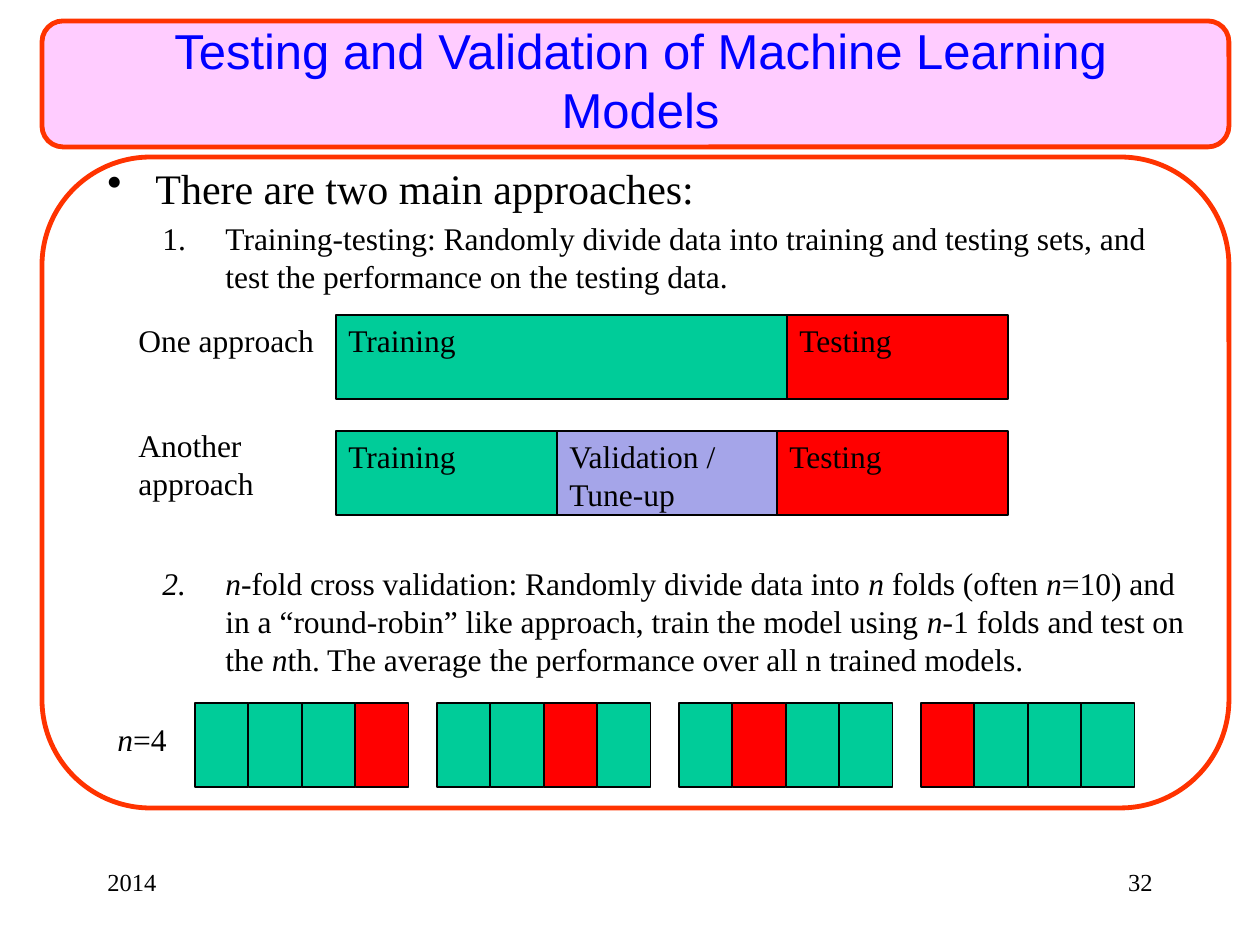
import pptx
import pptx.dml.color
import pptx.enum.shapes
import pptx.enum.text
import pptx.oxml
import pptx.oxml.ns
import pptx.util

RGBColor = pptx.dml.color.RGBColor
BLACK = RGBColor(0, 0, 0)
BLUE = RGBColor(0, 0, 255)
PINK = RGBColor(255, 204, 255)
ORANGE = RGBColor(255, 51, 0)
GREEN = RGBColor(0, 204, 153)
LAVENDER = RGBColor(165, 165, 233)
RED = RGBColor(255, 0, 0)

SHAPE_TYPE = pptx.enum.shapes.MSO_SHAPE
ALIGN = pptx.enum.text.PP_ALIGN
ANCHOR = pptx.enum.text.MSO_ANCHOR
SERIF = "Times New Roman"
EMU_PER_PX = 914400 / 126

presentation = pptx.Presentation()
presentation.slide_width = round(1260 * EMU_PER_PX)
presentation.slide_height = round(945 * EMU_PER_PX)
slide = presentation.slides.add_slide(presentation.slide_layouts[6])


def add_box(box, kind, fill=None, line=BLACK, weight=0.75):
    shape = slide.shapes.add_shape(kind, *[round(v * EMU_PER_PX) for v in box])
    shape.shadow.inherit = False
    if fill is None:
        shape.fill.background()
    else:
        shape.fill.solid()
        shape.fill.fore_color.rgb = fill
    shape.line.color.rgb = line
    shape.line.width = pptx.util.Pt(weight)
    return shape


def add_text(text, box=None, shape=None, size=18, font=SERIF, color=BLACK,
             align=ALIGN.LEFT, anchor=ANCHOR.TOP):
    if shape is None:
        shape = slide.shapes.add_textbox(*[round(v * EMU_PER_PX) for v in box])
    text_frame = shape.text_frame
    text_frame.word_wrap = True
    text_frame.vertical_anchor = anchor
    text_frame.text = text
    paragraph = text_frame.paragraphs[0]
    paragraph.alignment = align
    for run in paragraph.runs:
        run.font.size = pptx.util.Pt(size)
        run.font.name = font
        run.font.color.rgb = color
    return text_frame


add_text("2014", (95, 861, 262, 63), size=14)
add_text("32", (903, 861, 262, 63), size=14, align=ALIGN.RIGHT)

add_box((42, 21, 1187, 126), SHAPE_TYPE.ROUNDED_RECTANGLE, PINK, ORANGE, 2.75)
add_box((42, 157, 1187, 651), SHAPE_TYPE.ROUNDED_RECTANGLE, None, ORANGE, 2.75)
add_text("Testing and Validation of Machine Learning Models", (105, 32, 1071, 94),
         size=28, font="Arial", color=BLUE, align=ALIGN.CENTER, anchor=ANCHOR.MIDDLE)

bullet = '<a:buChar %s char="•"/>'
number = '<a:buAutoNum %s type="arabicPeriod"/>'
outline = [
    (["There are two main approaches:"], 24, 0, 0, 48, 48, bullet),
    (["Training-testing: Randomly divide data into training and testing sets, "
      "and test the performance on the testing data."], 18, 1, 3.6, 118, 63, number),
    (["", "n", "-fold cross validation: Randomly divide data into ", "n",
      " folds (often ", "n", "=10) and in a “round-robin” like approach, "
      "train the model using ", "n", "-1 folds and test on the ", "n",
      "th. The average the performance over all n trained models."],
     18, 1, 154, 118, 63, number),
]
body = add_text("", (95, 156, 1102, 640))
for index, (parts, size, level, before, margin, hanging, marker) in enumerate(outline):
    paragraph = body.add_paragraph() if index else body.paragraphs[0]
    paragraph.level = level
    paragraph.space_before = pptx.util.Pt(before)
    properties = paragraph._p.get_or_add_pPr()
    properties.set("marL", str(round(margin * EMU_PER_PX)))
    properties.set("indent", str(round(-hanging * EMU_PER_PX)))
    properties.append(pptx.oxml.parse_xml(marker % pptx.oxml.ns.nsdecls("a")))
    for position, part in enumerate(parts):
        if part:
            run = paragraph.add_run()
            run.text = part
            run.font.size = pptx.util.Pt(size)
            run.font.name = SERIF
            run.font.color.rgb = BLACK
            run.font.italic = position % 2 == 1

splits = [
    ("One approach", 315, 315, [("Training", 336, 451, GREEN), ("Testing", 787, 221, RED)]),
    ("Another approach", 420, 431, [("Training", 336, 221, GREEN),
                                    ("Validation / Tune-up", 557, 220, LAVENDER),
                                    ("Testing", 777, 231, RED)]),
]
for label, label_top, bar_top, segments in splits:
    add_text(label, (126, label_top, 203, 50))
    for name, left, width, fill in segments:
        segment = add_box((left, bar_top, width, 84), SHAPE_TYPE.RECTANGLE, fill)
        add_text(name, shape=segment)

fold_label = add_text("n", (105, 714, 76, 50))
fold_label.word_wrap = False
fold_label.paragraphs[0].runs[0].font.italic = True
run = fold_label.paragraphs[0].add_run()
run.text = "=4"
run.font.size = pptx.util.Pt(18)
run.font.name = SERIF
run.font.color.rgb = BLACK

FOLDS = 4
for trial in range(FOLDS):
    for fold in range(FOLDS):
        fill = RED if fold == FOLDS - 1 - trial else GREEN
        add_box((195 + 242 * trial + 53.5 * fold, 703, 53, 84), SHAPE_TYPE.RECTANGLE, fill)

presentation.save("out.pptx")
